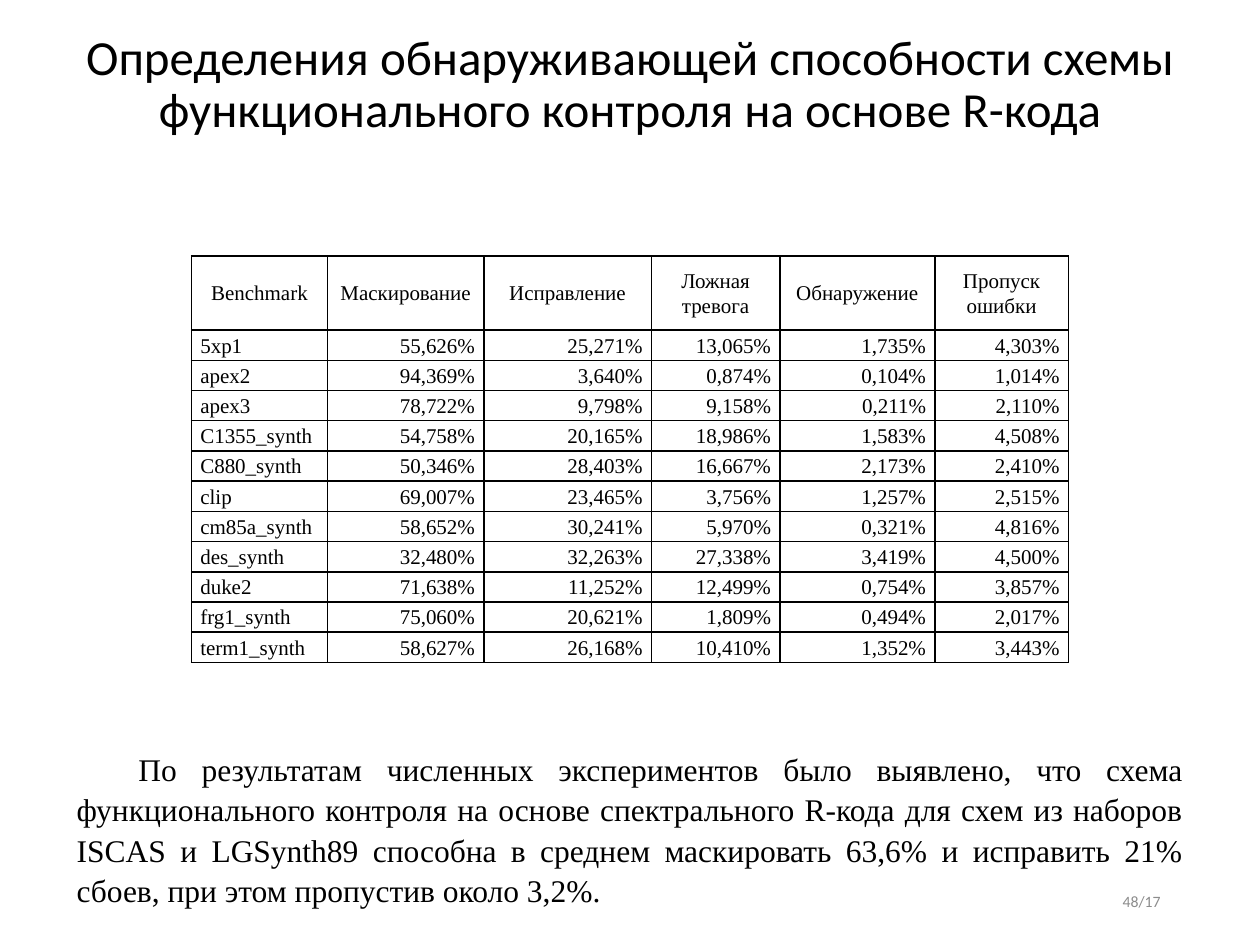
from dataclasses import dataclass

from lxml.etree import SubElement
from pptx import Presentation
from pptx.dml.color import RGBColor
from pptx.enum.text import MSO_ANCHOR, PP_ALIGN
from pptx.oxml.ns import qn
from pptx.slide import Slide
from pptx.table import _Cell
from pptx.util import Inches, Pt

BLACK = RGBColor(0x00, 0x00, 0x00)
GRAY = RGBColor(0x8C, 0x8C, 0x8C)
SANS = "Calibri"
SERIF = "Times New Roman"

COLUMN_WIDTHS = (1.08, 1.24, 1.33, 1.02, 1.23, 1.06)
HEADER_HEIGHT = 0.59
ROW_HEIGHT = 0.24
HEADERS = ("Benchmark", "Маскирование", "Исправление", "Ложная тревога", "Обнаружение", "Пропуск ошибки")
RESULTS = (
    ("5xp1", "55,626%", "25,271%", "13,065%", "1,735%", "4,303%"),
    ("apex2", "94,369%", "3,640%", "0,874%", "0,104%", "1,014%"),
    ("apex3", "78,722%", "9,798%", "9,158%", "0,211%", "2,110%"),
    ("C1355_synth", "54,758%", "20,165%", "18,986%", "1,583%", "4,508%"),
    ("C880_synth", "50,346%", "28,403%", "16,667%", "2,173%", "2,410%"),
    ("clip", "69,007%", "23,465%", "3,756%", "1,257%", "2,515%"),
    ("cm85a_synth", "58,652%", "30,241%", "5,970%", "0,321%", "4,816%"),
    ("des_synth", "32,480%", "32,263%", "27,338%", "3,419%", "4,500%"),
    ("duke2", "71,638%", "11,252%", "12,499%", "0,754%", "3,857%"),
    ("frg1_synth", "75,060%", "20,621%", "1,809%", "0,494%", "2,017%"),
    ("term1_synth", "58,627%", "26,168%", "10,410%", "1,352%", "3,443%"),
)


@dataclass(frozen=True)
class TextBlock:
    text: str
    left: float
    top: float
    width: float
    height: float
    size: float
    font: str
    alignment: PP_ALIGN
    color: RGBColor = BLACK
    anchor: MSO_ANCHOR = MSO_ANCHOR.MIDDLE
    line_spacing: float = 1.0
    space_after: float = 0
    first_line_indent: float = 0


TEXT_BLOCKS = (
    TextBlock("48/17", 7.06, 6.95, 2.25, 0.4, 9, SANS, PP_ALIGN.RIGHT, GRAY),
    TextBlock(
        "По результатам численных экспериментов было выявлено, что схема "
        "функционального контроля на основе спектрального R-кода для схем из наборов "
        "ISCAS и LGSynth89 способна в среднем маскировать 63,6% и исправить 21% "
        "сбоев, при этом пропустив около 3,2%.",
        0.51, 5.88, 8.98, 1.4, 18, SERIF, PP_ALIGN.JUSTIFY,
        anchor=MSO_ANCHOR.TOP, line_spacing=1.07, space_after=8, first_line_indent=0.49,
    ),
    TextBlock(
        "Определения обнаруживающей способности схемы функционального контроля на основе R-кода",
        0, -0.02, 10, 1.4, 28, SANS, PP_ALIGN.CENTER, line_spacing=0.9,
    ),
)


def add_text_block(slide: Slide, block: TextBlock) -> None:
    shape = slide.shapes.add_textbox(
        Inches(block.left), Inches(block.top), Inches(block.width), Inches(block.height)
    )
    frame = shape.text_frame
    frame.word_wrap = True
    frame.vertical_anchor = block.anchor
    paragraph = frame.paragraphs[0]
    paragraph.text = block.text
    paragraph.alignment = block.alignment
    paragraph.line_spacing = block.line_spacing
    paragraph.space_after = Pt(block.space_after)
    paragraph.font.size = Pt(block.size)
    paragraph.font.name = block.font
    paragraph.font.color.rgb = block.color
    if block.first_line_indent:
        properties = paragraph._p.get_or_add_pPr()
        properties.set("marL", "0")
        properties.set("indent", str(Inches(block.first_line_indent)))


def add_borders(cell: _Cell) -> None:
    properties = cell._tc.get_or_add_tcPr()
    for side in ("lnL", "lnR", "lnT", "lnB"):
        line = SubElement(properties, qn(f"a:{side}"), w=str(Pt(1)))
        fill = SubElement(line, qn("a:solidFill"))
        SubElement(fill, qn("a:srgbClr"), val=str(BLACK))


def fill_cell(cell: _Cell, text: str, alignment: PP_ALIGN) -> None:
    cell.margin_left = cell.margin_right = Inches(0.07)
    cell.margin_top = cell.margin_bottom = 0
    cell.vertical_anchor = MSO_ANCHOR.MIDDLE
    add_borders(cell)
    cell.fill.background()
    paragraph = cell.text_frame.paragraphs[0]
    paragraph.text = text
    paragraph.alignment = alignment
    paragraph.line_spacing = 1.07
    paragraph.font.size = Pt(12)
    paragraph.font.name = SERIF
    paragraph.font.color.rgb = BLACK


def add_results_table(slide: Slide) -> None:
    rows = (HEADERS, *RESULTS)
    heights = (HEADER_HEIGHT, *[ROW_HEIGHT] * len(RESULTS))
    table = slide.shapes.add_table(
        len(rows), len(HEADERS), Inches(1.52), Inches(2.03),
        Inches(sum(COLUMN_WIDTHS)), Inches(sum(heights)),
    ).table
    table.first_row = table.horz_banding = False
    for column, width in zip(table.columns, COLUMN_WIDTHS):
        column.width = Inches(width)
    for row_index, (values, height) in enumerate(zip(rows, heights)):
        table.rows[row_index].height = Inches(height)
        for column_index, value in enumerate(values):
            if row_index == 0:
                alignment = PP_ALIGN.CENTER
            else:
                alignment = PP_ALIGN.RIGHT if column_index else PP_ALIGN.LEFT
            fill_cell(table.cell(row_index, column_index), value, alignment)


def main() -> None:
    presentation = Presentation()
    presentation.slide_width = Inches(10)
    presentation.slide_height = Inches(7.5)
    slide = presentation.slides.add_slide(presentation.slide_layouts[6])
    page_number, conclusion, title = TEXT_BLOCKS
    add_text_block(slide, page_number)
    add_text_block(slide, conclusion)
    add_results_table(slide)
    add_text_block(slide, title)
    presentation.save("out.pptx")


if __name__ == "__main__":
    main()
